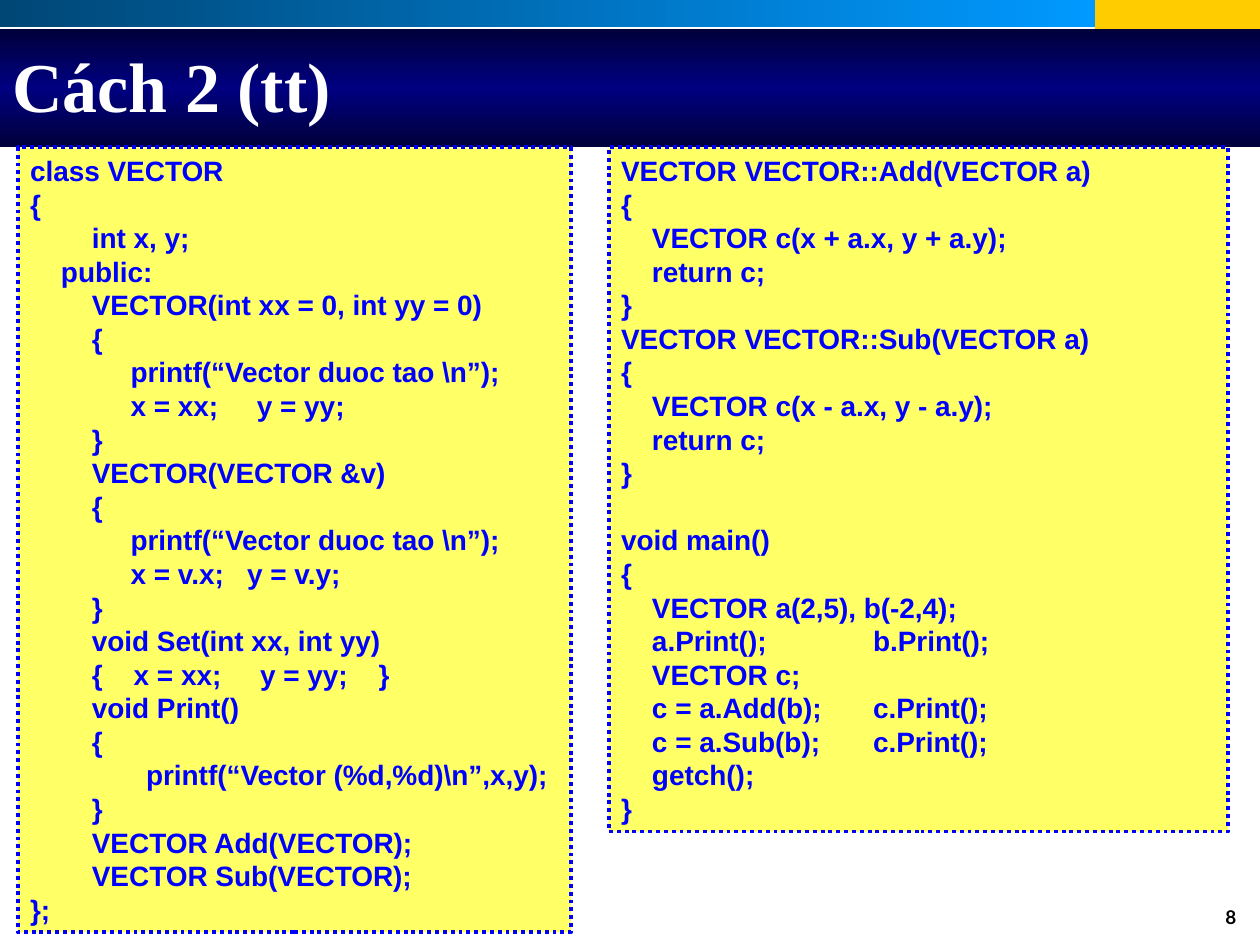
import copy

import pptx
import pptx.dml.color
import pptx.enum.dml
import pptx.enum.shapes
import pptx.enum.text
import pptx.oxml.ns
import pptx.util

Pt = pptx.util.Pt
BLUE = "0000FF"
LINE_HEIGHT = 19.2

CLASS_CODE = r"""class VECTOR
{
        int x, y;
    public:
        VECTOR(int xx = 0, int yy = 0)
        {
             printf(“Vector duoc tao \n”);
             x = xx;     y = yy;
        }
        VECTOR(VECTOR &v)
        {
             printf(“Vector duoc tao \n”);
             x = v.x;   y = v.y;
        }
        void Set(int xx, int yy)
        {    x = xx;     y = yy;    }
        void Print()
        {
               printf(“Vector (%d,%d)\n”,x,y);
        }
        VECTOR Add(VECTOR);
        VECTOR Sub(VECTOR);
};"""

METHODS_CODE = """VECTOR VECTOR::Add(VECTOR a)
{
    VECTOR c(x + a.x, y + a.y);
    return c;
}
VECTOR VECTOR::Sub(VECTOR a)
{
    VECTOR c(x - a.x, y - a.y);
    return c;
}"""

MAIN_CODE = """void main()
{
    VECTOR a(2,5), b(-2,4);
    a.Print();      \tb.Print();
    VECTOR c;
    c = a.Add(b);\tc.Print();
    c = a.Sub(b);\tc.Print();
    getch();
}"""


def color(value):
    return pptx.dml.color.RGBColor.from_string(value)


def style_font(paragraph, name, size, value):
    for run in paragraph.runs:
        run.font.name = name
        run.font.size = Pt(size)
        run.font.bold = True
        run.font.color.rgb = color(value)


def add_rectangle(slide, left, top, width, height, fill=None):
    shape = slide.shapes.add_shape(
        pptx.enum.shapes.MSO_SHAPE.RECTANGLE,
        Pt(left), Pt(top), Pt(width), Pt(height))
    shape.shadow.inherit = False
    shape.line.fill.background()
    if fill:
        shape.fill.solid()
        shape.fill.fore_color.rgb = color(fill)
    return shape


def add_gradient_bar(slide, left, top, width, height, colors, angle):
    shape = add_rectangle(slide, left, top, width, height)
    shape.fill.gradient()
    shape.fill.gradient_angle = angle
    stop_list = shape._element.find(".//" + pptx.oxml.ns.qn("a:gsLst"))
    while len(stop_list) < len(colors):
        stop_list.append(copy.deepcopy(stop_list[0]))
    for index, (stop, value) in enumerate(zip(shape.fill.gradient_stops, colors)):
        stop.position = index / (len(colors) - 1)
        stop.color.rgb = color(value)


def add_label(slide, left, top, width, height, text, font, size, value):
    box = slide.shapes.add_textbox(Pt(left), Pt(top), Pt(width), Pt(height))
    box.text_frame.word_wrap = True
    box.text_frame.text = text
    paragraph = box.text_frame.paragraphs[0]
    style_font(paragraph, font, size, value)
    return box.text_frame, paragraph


def add_code_box(slide, left, width, height, blocks, wrap):
    """Show blocks of code, set apart by the height of one line."""
    shape = add_rectangle(slide, left, 84.2, width, height, "FFFF66")
    shape.line.color.rgb = color(BLUE)
    shape.line.width = Pt(2.25)
    shape.line.dash_style = pptx.enum.dml.MSO_LINE.ROUND_DOT
    frame = shape.text_frame
    frame.word_wrap = wrap
    frame.auto_size = pptx.enum.text.MSO_AUTO_SIZE.SHAPE_TO_FIT_TEXT
    frame.vertical_anchor = pptx.enum.text.MSO_ANCHOR.TOP
    frame.text = "\n".join(blocks)
    for paragraph in frame.paragraphs:
        paragraph.alignment = pptx.enum.text.PP_ALIGN.LEFT
        paragraph.line_spacing = Pt(LINE_HEIGHT)
        style_font(paragraph, "Arial", 16, BLUE)
    start = 0
    for block in blocks[:-1]:
        start += len(block.splitlines())
        frame.paragraphs[start].space_before = Pt(LINE_HEIGHT)


def main():
    presentation = pptx.Presentation()
    presentation.slide_width = Pt(720)
    presentation.slide_height = Pt(540)
    slide = presentation.slides.add_slide(presentation.slide_layouts[6])

    # Header bands
    add_rectangle(slide, 625.7, 0, 94.3, 20, "FFCC00")
    add_gradient_bar(slide, 0, 0, 625.7, 15.5, ["004776", "0099FF"], 0)
    add_gradient_bar(slide, 0, 16.6, 720, 67.2,
                     ["00003B", "000080", "00003B"], 90)

    # Page number
    _, paragraph = add_label(slide, 545.8, 516.2, 167.8, 23, "8",
                             "Lato", 10.8, "000000")
    paragraph.alignment = pptx.enum.text.PP_ALIGN.RIGHT
    paragraph.line_spacing = 0.8

    # Title
    frame, _ = add_label(slide, 0, 12.2, 684, 72, "Cách 2 (tt)",
                         "Times New Roman", 40, "FFFFFF")
    frame.vertical_anchor = pptx.enum.text.MSO_ANCHOR.MIDDLE

    # Code listings
    add_code_box(slide, 10.1, 316.1, 448.6, [CLASS_CODE], False)
    add_code_box(slide, 347.8, 354.2, 391, [METHODS_CODE, MAIN_CODE], True)

    presentation.save("out.pptx")


if __name__ == "__main__":
    main()
